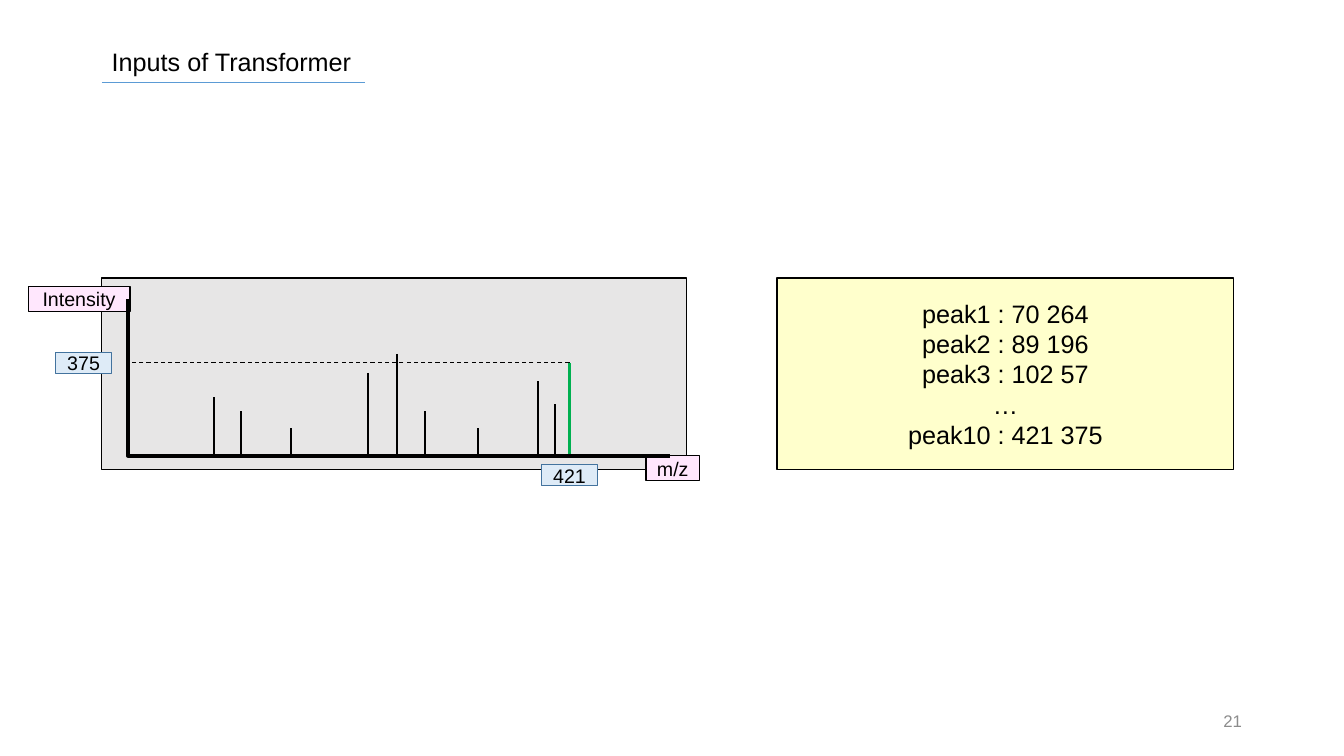
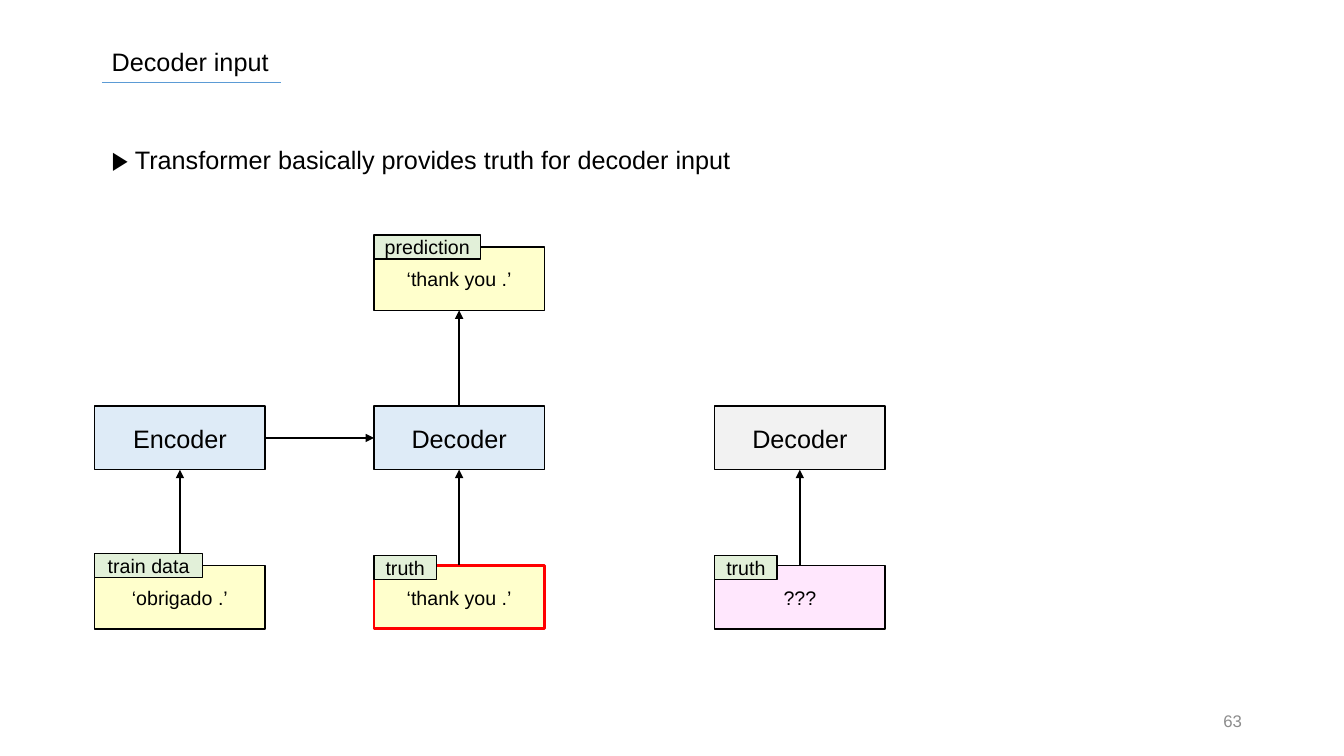
from lxml import etree
from pptx import Presentation
from pptx import util as u
from pptx.dml import color as dml
from pptx.enum import dml as line_styles, shapes, text
from pptx.oxml import ns

# Shared look: every length is a count of square grid cells
CELL = u.Inches(0.1)
COLUMNS, ROWS = 133.33, 75
MARGIN = 10.1
COLORS = {
    "ink": "000000", "rule": "5B9BD5", "number": "8C8C8C",
    "panel": "E7E6E6", "pink": "FFE7FD", "yellow": "FFFFCC",
    "blue": "DEEBF7", "blue_edge": "43739E", "green": "E2F0D9",
    "gray": "F2F2F2", "peak": "00B050", "alert": "FF0000",
}
LEFT, CENTER, RIGHT = text.PP_ALIGN.LEFT, text.PP_ALIGN.CENTER, text.PP_ALIGN.RIGHT
TOP, MIDDLE = text.MSO_ANCHOR.TOP, text.MSO_ANCHOR.MIDDLE
BODY, LABEL, SMALL = 18, 14, 12


def cells(*counts):
    return [u.Emu(round(count * CELL)) for count in counts]


def rgb(name):
    return dml.RGBColor.from_string(COLORS[name])


def set_line(line, color, width):
    line.color.rgb = rgb(color)
    line.width = u.Pt(width)


def write(box, lines, size, align=CENTER, anchor=MIDDLE, color="ink", wrap=True):
    frame = box.text_frame
    frame.word_wrap = wrap
    frame.vertical_anchor = anchor
    frame.text = "\n".join(lines)
    font_format = {"name": "Arial", "size": u.Pt(size)}
    for para in frame.paragraphs:
        para.alignment = align
        for name, value in font_format.items():
            setattr(para.font, name, value)
        para.font.color.rgb = rgb(color)


def add_text(page, place, line, size=BODY, **style):
    write(page.shapes.add_textbox(*cells(*place)), [line], size, **style)


def add_box(page, place, fill, lines=(), size=LABEL, edge="ink", width=1):
    box = page.shapes.add_shape(shapes.MSO_SHAPE.RECTANGLE, *cells(*place))
    box.shadow.inherit = False
    box.fill.solid()
    box.fill.fore_color.rgb = rgb(fill)
    set_line(box.line, edge, width)
    if lines:
        write(box, lines, size)
    return box


def add_tag(page, place, fill, label, edge="ink"):
    tag = add_box(page, place, fill, edge=edge)
    frame = tag.text_frame
    for side in ("left", "top", "right", "bottom"):
        setattr(frame, f"margin_{side}", 0)
    write(tag, [label], LABEL, wrap=False)


def add_line(page, start, end, color="ink", width=1.0, dash=None):
    line = page.shapes.add_connector(
        shapes.MSO_CONNECTOR.STRAIGHT, *cells(*start, *end))
    etree.SubElement(line._element.spPr, ns.qn("a:effectLst"))
    set_line(line.line, color, width)
    if dash:
        line.line.dash_style = dash
    return line


def add_arrow(page, source, source_side, target, target_side):
    arrow = add_line(page, (0, 0), (0, 0))
    arrow.begin_connect(source, source_side)
    arrow.end_connect(target, target_side)
    etree.SubElement(arrow.line._get_or_add_ln(), ns.qn("a:tailEnd"), type="triangle")


def add_page(deck, title, rule_width, number):
    page = deck.slides.add_slide(deck.slide_layouts[6])
    add_text(page, (MARGIN, 4.1, 56.9, 4), title, align=LEFT, anchor=TOP)
    add_line(page, (MARGIN, 8.2), (MARGIN + rule_width, 8.2), "rule", 0.5)
    add_text(page, (94.2, 69.5, 30, 4), number, SMALL, align=RIGHT, color="number")
    return page


def add_spectrum(page):
    left, base = 12.7, 45.2
    add_box(page, (MARGIN, 27.6, 58, 19), "panel")
    add_tag(page, (2.8, 28.4, 10.1, 2.5), "pink", "Intensity")
    add_tag(page, (64.1, base, 5.3, 2.5), "pink", "m/z")

    # Peaks: column and top row
    peaks = [(21.2, 39.4), (23.9, 40.8), (28.9, 42.5), (36.5, 37), (39.4, 35.1),
             (42.2, 40.8), (47.4, 42.5), (53.4, 37.8), (55.1, 40.1)]
    for column, top in peaks:
        add_line(page, (column, top), (column, base), width=1.5)
    marked, marked_top = 56.5, 36
    add_line(page, (marked, marked_top), (marked, base), "peak", 1.5)

    # Both axes as one open outline
    outline = page.shapes.build_freeform(*cells(left, 29.7))
    outline.add_line_segments([cells(left, base), cells(66.5, base)], close=False)
    axes = outline.convert_to_shape()
    axes.shadow.inherit = False
    axes.fill.background()
    set_line(axes.line, "ink", 3)

    # Values of the marked peak
    add_line(page, (marked, marked_top), (left, marked_top), width=0.75,
             dash=line_styles.MSO_LINE.DASH)
    tag_width, tag_height = 5.6, 2.1
    for label, column, row in (("375", 5.5, marked_top - tag_height / 2),
                               ("421", marked - tag_width / 2, 46.1)):
        add_tag(page, (column, row, tag_width, tag_height), "blue", label, "blue_edge")


def add_decoder_flow(page):
    encoder_column, decoder_column, test_column = 9.4, 37.1, 70.9
    output_row, model_row, input_row = (24.5 + 15.8 * step for step in range(3))

    def block(column, row, fill, label, size=LABEL, **edge):
        return add_box(page, (column, row, 16.9, 6.3), fill, [label], size, **edge)

    # Models and their data
    encoder = block(encoder_column, model_row, "blue", "Encoder", BODY)
    decoder = block(decoder_column, model_row, "blue", "Decoder", BODY)
    test_decoder = block(test_column, model_row, "gray", "Decoder", BODY)
    train_data = block(encoder_column, input_row, "yellow", "‘obrigado .’")
    truth = block(decoder_column, input_row, "yellow", "‘thank you .’",
                  edge="alert", width=2)
    unknown = block(test_column, input_row, "pink", "???")
    prediction = block(decoder_column, output_row, "yellow", "‘thank you .’")

    # Arrows
    add_arrow(page, encoder, 3, decoder, 1)
    for lower, upper in ((train_data, encoder), (truth, decoder),
                         (unknown, test_decoder), (decoder, prediction)):
        add_arrow(page, lower, 0, upper, 2)

    # Tags on the upper edges
    for label, column, row, width in (
            ("train data", encoder_column, input_row - 1.2, 10.7),
            ("truth", decoder_column, input_row - 1, 6.2),
            ("truth", test_column, input_row - 1, 6.2),
            ("prediction", decoder_column, output_row - 1.2, 10.6)):
        add_tag(page, (column, row, width, 2.4), "green", label)


def main():
    deck = Presentation()
    deck.slide_width, deck.slide_height = cells(COLUMNS, ROWS)

    # Peak list as input
    page = add_page(deck, "Inputs of Transformer", 26.1, "21")
    add_spectrum(page)
    add_box(page, (77.1, 27.6, 45.3, 19), "yellow",
            ["peak1 : 70 264", "peak2 : 89 196", "peak3 : 102 57", "…",
             "peak10 : 421 375"], BODY)

    # Truth as decoder input
    page = add_page(deck, "Decoder input", 17.8, "63")
    add_text(page, (MARGIN, 13.8, 67.6, 4),
             "▶ Transformer basically provides truth for decoder input",
             align=LEFT, anchor=TOP)
    add_decoder_flow(page)

    deck.save("out.pptx")


if __name__ == "__main__":
    main()
